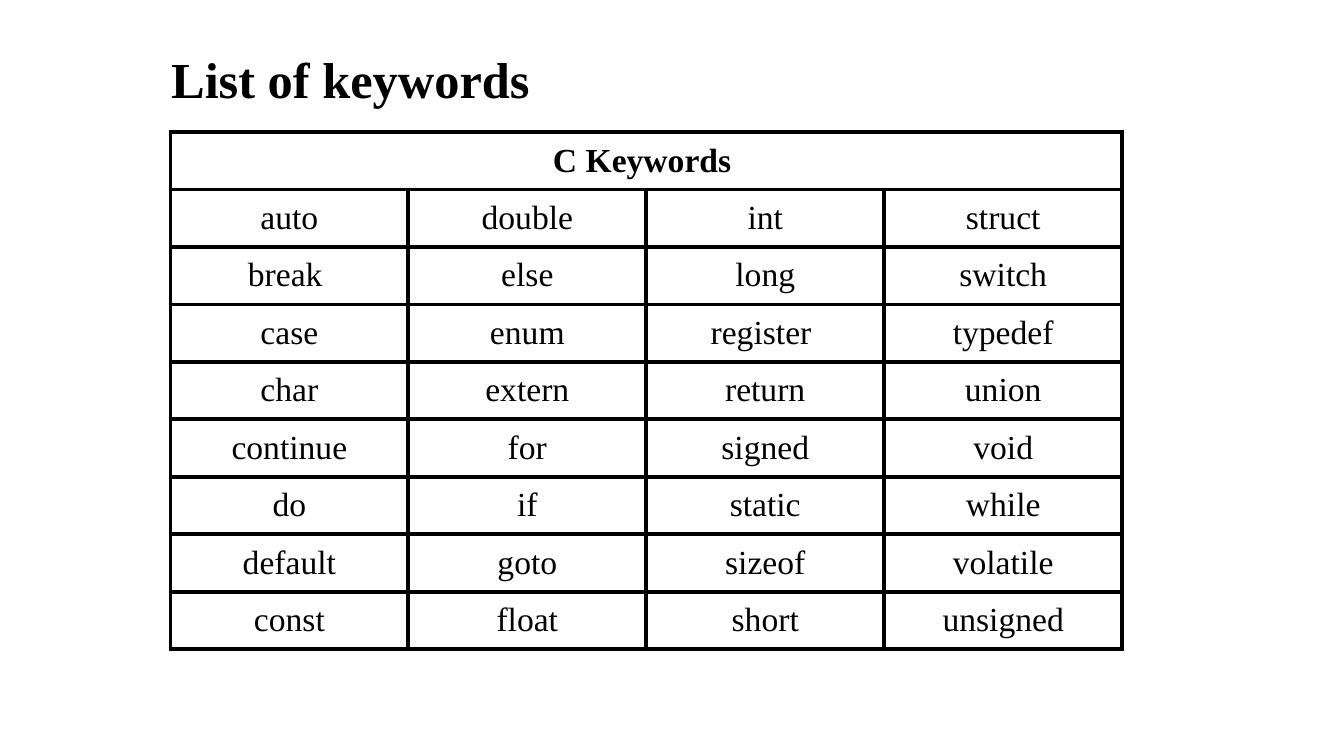
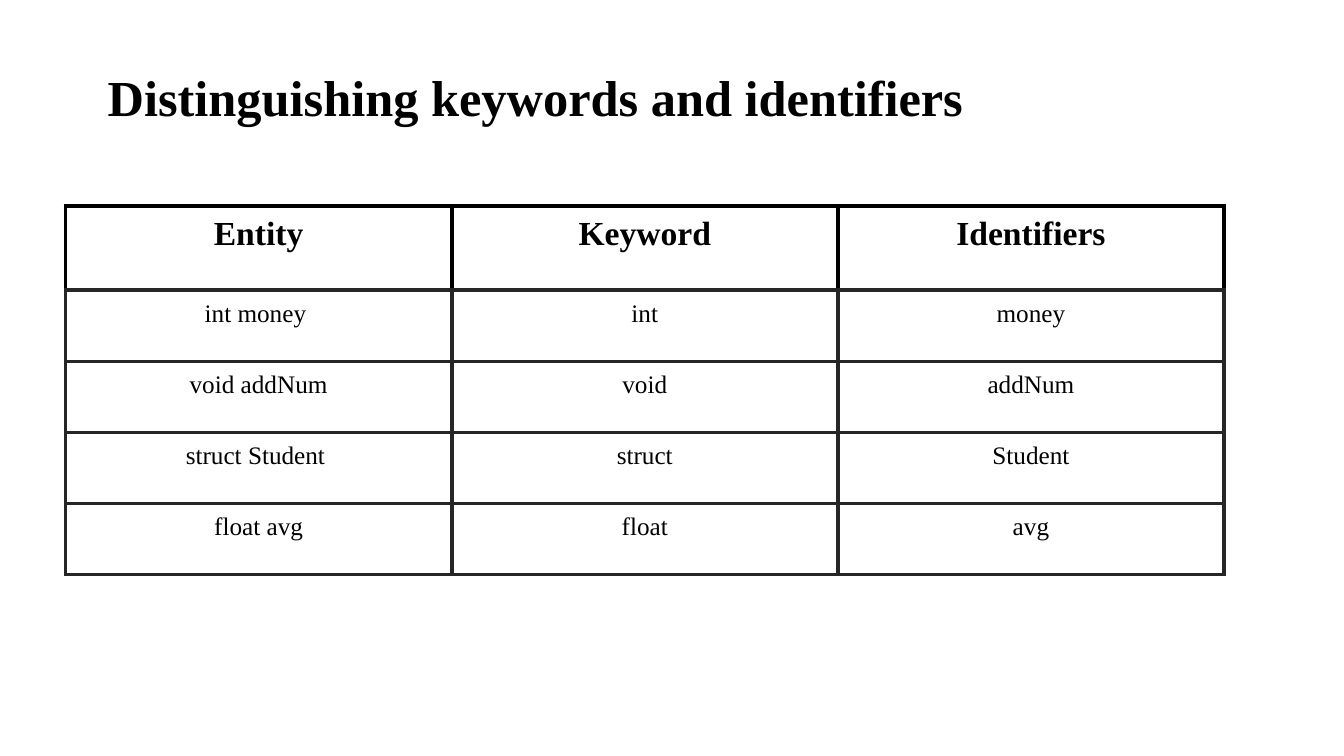
from lxml import etree
from pptx import Presentation
from pptx.dml.color import RGBColor
from pptx.enum.text import MSO_ANCHOR as Anchor, PP_ALIGN as Align
from pptx.oxml.ns import qn
from pptx.util import Inches, Pt

COLORS = {"text": "000000", "line": "000000", "soft_line": "262626"}
FONT = "Times New Roman"
INSETS = {f"margin_{side}": Inches(0.1) for side in ("left", "right", "top", "bottom")}
CELL = {**INSETS, "margin_bottom": Inches(0.07), "vertical_anchor": Anchor.TOP}
TITLE = {"name": FONT, "size": Pt(36), "bold": True}
HEADER = {"name": FONT, "size": Pt(24), "bold": True}
KEYWORD = {"name": FONT, "size": Pt(24), "bold": False}
EXAMPLE = {"name": FONT, "size": Pt(18), "bold": False}

# Borders of a cell: side -> (colour, width in points)
SIDES = "LRTB"
SOLID = {side: ("line", 3) for side in SIDES}
SOFT = {side: ("soft_line", 3) for side in SIDES}
THIN = ("soft_line", 2.25)

KEYWORDS = [
    ["C Keywords "],
    ["auto", "double", "int", "struct"],
    ["break ", "else", "long", "switch"],
    ["case", "enum", "register ", "typedef"],
    ["char", "extern", "return", "union"],
    ["continue", "for", "signed", "void"],
    ["do", "if", "static", "while"],
    ["default", "goto", "sizeof", "volatile"],
    ["const", "float", "short", "unsigned"],
]
ENTITIES = [
    ["Entity", "Keyword", "Identifiers"],
    ["int money ", "int", "money"],
    ["void addNum", "void", "addNum"],
    ["struct Student ", "struct", "Student"],
    ["float avg", "float", "avg"],
]


def set_values(target, values):
    for name, value in values.items():
        setattr(target, name, value)


def write(paragraph, text, style):
    run = paragraph.add_run()
    run.text = text
    set_values(run.font, style)
    run.font.color.rgb = RGBColor.from_string(COLORS["text"])


def add_title(slide, box, text):
    frame = slide.shapes.add_textbox(*map(Inches, box)).text_frame
    set_values(frame, {**INSETS, "word_wrap": True, "vertical_anchor": Anchor.TOP})
    paragraph = frame.paragraphs[0]
    paragraph.line_spacing = 0.9
    write(paragraph, text, TITLE)


def set_borders(cell, borders):
    properties = cell._tc.get_or_add_tcPr()
    for side in SIDES:
        color, width = borders[side]
        line = etree.SubElement(properties, qn(f"a:ln{side}"), w=str(Pt(width)))
        fill = etree.SubElement(line, qn("a:solidFill"))
        etree.SubElement(fill, qn("a:srgbClr"), val=COLORS[color])


def add_grid(slide, box, header_height, rows, body_style, row_borders):
    """Table with equal columns and body rows; a header of one text spans all."""
    count = len(rows[-1])
    body_height = (box[3] - header_height) / (len(rows) - 1)
    table = slide.shapes.add_table(len(rows), count, *map(Inches, box)).table
    set_values(table, {"first_row": False, "horz_banding": False})
    for column in table.columns:
        column.width = Inches(box[2] / count)
    for index, (row, texts) in enumerate(zip(table.rows, rows)):
        row.height = Inches(body_height if index else header_height)
        for cell in row.cells:
            set_values(cell, CELL)
            set_borders(cell, row_borders[index])
            cell.fill.background()
        for cell, text in zip(row.cells, texts):
            paragraph = cell.text_frame.paragraphs[0]
            paragraph.alignment = Align.CENTER
            write(paragraph, text, body_style if index else HEADER)
    if len(rows[0]) == 1:
        table.cell(0, 0).merge(table.cell(0, count - 1))


def build_keyword_list(slide):
    add_title(slide, (1.6, 0.45, 7.7, 0.61), "List of keywords")
    add_grid(slide, (1.69, 1.31, 9.44, 4.96), 0.55, KEYWORDS,
             KEYWORD, [SOLID] * len(KEYWORDS))


def build_comparison(slide):
    add_title(slide, (0.97, 0.62, 8.77, 0.75), "Distinguishing keywords and identifiers")
    # Thin lines separate the body rows
    borders = [
        {**SOLID, "B": ("soft_line", 3)},
        {**SOFT, "B": THIN},
        {**SOFT, "T": THIN, "B": THIN},
        {**SOFT, "T": THIN, "B": THIN},
        {**SOFT, "T": THIN},
    ]
    add_grid(slide, (0.65, 2.04, 11.49, 3.66), 0.84, ENTITIES, EXAMPLE, borders)


def main():
    presentation = Presentation()
    set_values(presentation, {"slide_width": Inches(13.33), "slide_height": Inches(7.5)})
    for build in (build_keyword_list, build_comparison):
        build(presentation.slides.add_slide(presentation.slide_layouts[6]))
    presentation.save("out.pptx")


if __name__ == "__main__":
    main()
